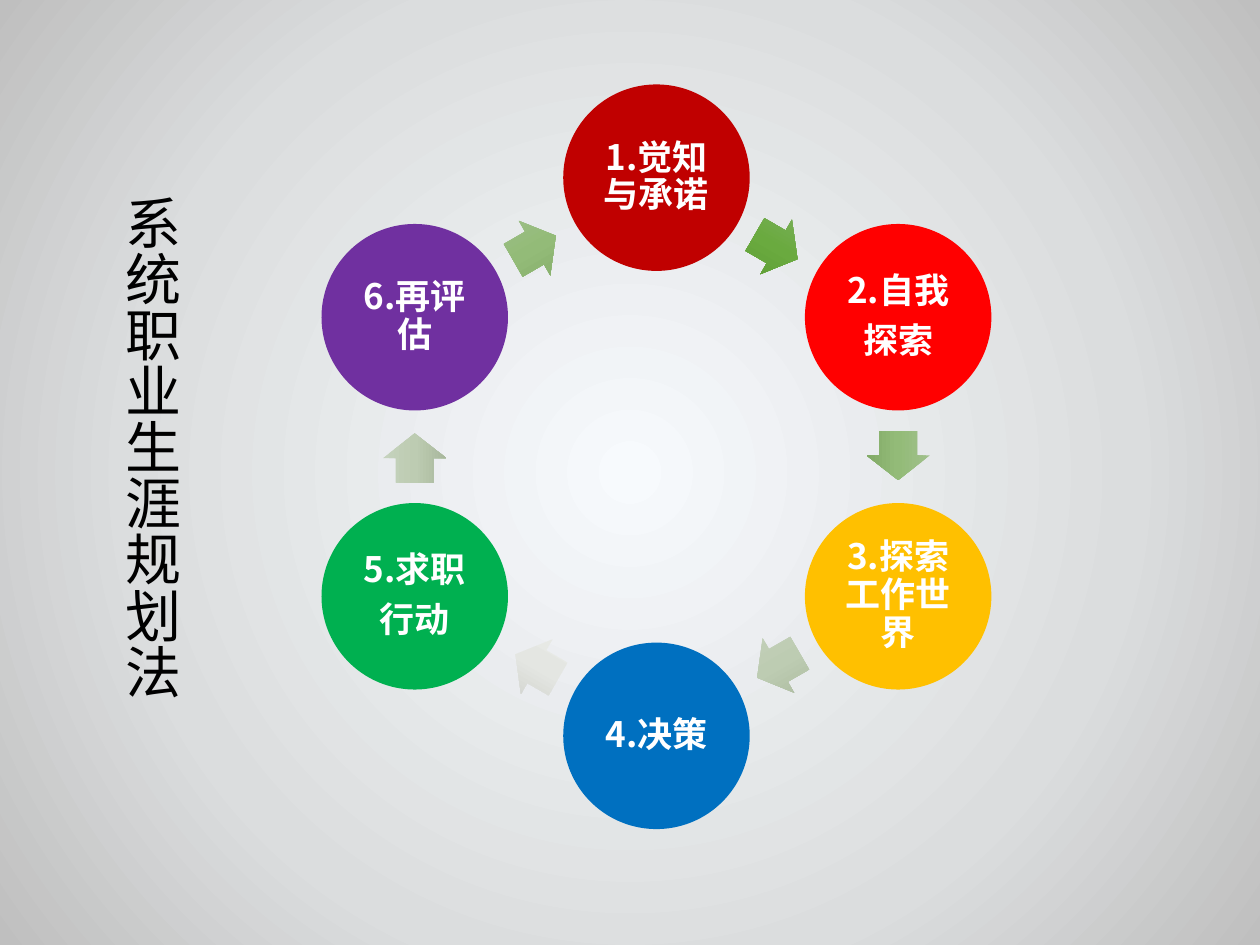
from dataclasses import dataclass
from math import cos, radians, sin

from lxml import etree
from pptx import Presentation
from pptx.dml.color import RGBColor
from pptx.enum.shapes import MSO_SHAPE
from pptx.enum.text import MSO_ANCHOR, MSO_AUTO_SIZE, PP_ALIGN
from pptx.oxml.ns import qn
from pptx.util import Inches, Pt

OVAL = MSO_SHAPE.OVAL
RIGHT_ARROW, LEFT_ARROW = MSO_SHAPE.RIGHT_ARROW, MSO_SHAPE.LEFT_ARROW
CENTER, LEFT = PP_ALIGN.CENTER, PP_ALIGN.LEFT
TOP, MIDDLE = MSO_ANCHOR.TOP, MSO_ANCHOR.MIDDLE
FIT_SHAPE = MSO_AUTO_SIZE.SHAPE_TO_FIT_TEXT
TITLE_ONLY = 5


@dataclass(frozen=True)
class Theme:
    font: str = "Noto Sans CJK SC"
    title_size: int = 32
    step_size: int = 20
    title_color: str = "000000"
    step_color: str = "FFFFFF"
    background: tuple = ((0, "F7FAFD"), (64, "DBDDDE"), (100, "BFBFBF"))
    green: tuple = ((0, "7DB060"), (50, "6AAA3F"), (100, "5D9B34"))
    soft_green: tuple = ((0, "A0C08B"), (50, "93BB78"), (100, "82AA67"))
    sage: tuple = ((0, "C5D2BD"), (50, "BDCCB2"), (100, "A8B79C"))
    pale: tuple = ((0, "EAECE8"), (50, "E4E6E2"), (100, "CBCDC8"))


THEME = Theme()

# Lines of text, circle colour, gradient of the arrow to the next step
STEPS = [
    (["1.觉知与承诺"], "C00000", THEME.green),
    (["2.自我", "探索"], "FF0000", THEME.soft_green),
    (["3.探索工作世界"], "FFC000", THEME.sage),
    (["4.决策"], "0070C0", THEME.pale),
    (["5.求职", "行动"], "00B050", THEME.sage),
    (["6.再评估"], "7030A0", THEME.soft_green),
]


def set_gradient(fill, owner, stops, radial=False):
    """Fill with the given stops, from the top down or from the centre out."""
    fill.gradient()
    grad = owner.find(".//" + qn("a:gradFill"))
    for child in list(grad):
        grad.remove(child)
    stop_list = etree.SubElement(grad, qn("a:gsLst"))
    for percent, color in stops:
        gs = etree.SubElement(stop_list, qn("a:gs"), pos=str(percent * 1000))
        etree.SubElement(gs, qn("a:srgbClr"), val=color)
    if radial:
        shade = etree.SubElement(grad, qn("a:path"), {"path": "circle"})
        etree.SubElement(shade, qn("a:fillToRect"),
                         {side: "50000" for side in "ltrb"})
    else:
        etree.SubElement(grad, qn("a:lin"), ang="5400000", scaled="0")


def add_run(p, text, size, color, bold=False):
    r = p.add_run()
    r.text = text
    r.font.size = Pt(size)
    r.font.bold = bold
    r.font.color.rgb = RGBColor.from_string(color)
    r.font.name = THEME.font
    etree.SubElement(r.font._element, qn("a:ea"), typeface=THEME.font)


def add_centered(s, kind, cx, cy, width, height):
    sp = s.shapes.add_shape(kind, Inches(cx - width / 2), Inches(cy - height / 2),
                            Inches(width), Inches(height))
    sp.shadow.inherit = False
    sp.line.fill.background()
    return sp


def add_step(s, cx, cy, size, lines, color):
    sp = add_centered(s, OVAL, cx, cy, size, size)
    sp.fill.solid()
    sp.fill.fore_color.rgb = RGBColor.from_string(color)
    tf = sp.text_frame
    tf.word_wrap = True
    tf.vertical_anchor = MIDDLE
    tf.margin_left = tf.margin_right = Inches(0.02)
    tf.margin_top = tf.margin_bottom = Inches(0.02)
    for i, line in enumerate(lines):
        p = tf.add_paragraph() if i else tf.paragraphs[0]
        p.alignment = CENTER
        p.line_spacing = 0.9
        p.space_after = Pt(7)
        add_run(p, line, THEME.step_size, THEME.step_color, bold=True)


def add_arrow(s, cx, cy, heading, stops):
    # Arrows heading left use the mirrored preset, so their light side stays on top
    leftward = 90 < heading < 270
    sp = add_centered(s, LEFT_ARROW if leftward else RIGHT_ARROW, cx, cy, 0.39, 0.5)
    sp.adjustments[0] = 0.6
    sp.adjustments[1] = 0.5
    sp.rotation = (heading + 180) % 360 if leftward else heading
    set_gradient(sp.fill, sp.element, stops)


def add_cycle(s, left, top, width, height):
    """Ring of steps, clockwise from the top, with an arrow after each."""
    size = 1.48
    cx, cy = left + width / 2, top + height / 2
    radius = (height - size) / 2
    turn = 360 / len(STEPS)
    apothem = radius * cos(radians(turn / 2))
    setback = 0.01
    for i, (lines, color, stops) in enumerate(STEPS):
        a = radians(i * turn - 90)
        add_step(s, cx + radius * cos(a), cy + radius * sin(a), size, lines, color)
        mid = radians((i + 0.5) * turn - 90)
        heading = (i + 0.5) * turn
        h = radians(heading)
        add_arrow(s, cx + apothem * cos(mid) - setback * cos(h),
                  cy + apothem * sin(mid) - setback * sin(h), heading, stops)


def add_vertical_title(s, left, top, width, height):
    sp = s.shapes.title
    sp.left, sp.top = Inches(left), Inches(top)
    sp.width, sp.height = Inches(width), Inches(height)
    tf = sp.text_frame
    tf.word_wrap = False
    tf.auto_size = FIT_SHAPE
    tf.vertical_anchor = TOP
    tf._txBody.bodyPr.set("vert", "eaVert")
    p = tf.paragraphs[0]
    p.alignment = LEFT
    add_run(p, "系统职业生涯规划法", THEME.title_size, THEME.title_color)


def main():
    prs = Presentation()
    prs.slide_width, prs.slide_height = Inches(10), Inches(7.5)
    s = prs.slides.add_slide(prs.slide_layouts[TITLE_ONLY])
    set_gradient(s.background.fill, s.element, THEME.background, radial=True)
    add_cycle(s, 2.55, 0.67, 5.32, 5.91)
    add_vertical_title(s, 0.83, 1.5, 0.74, 4.14)
    prs.save("out.pptx")


if __name__ == "__main__":
    main()
